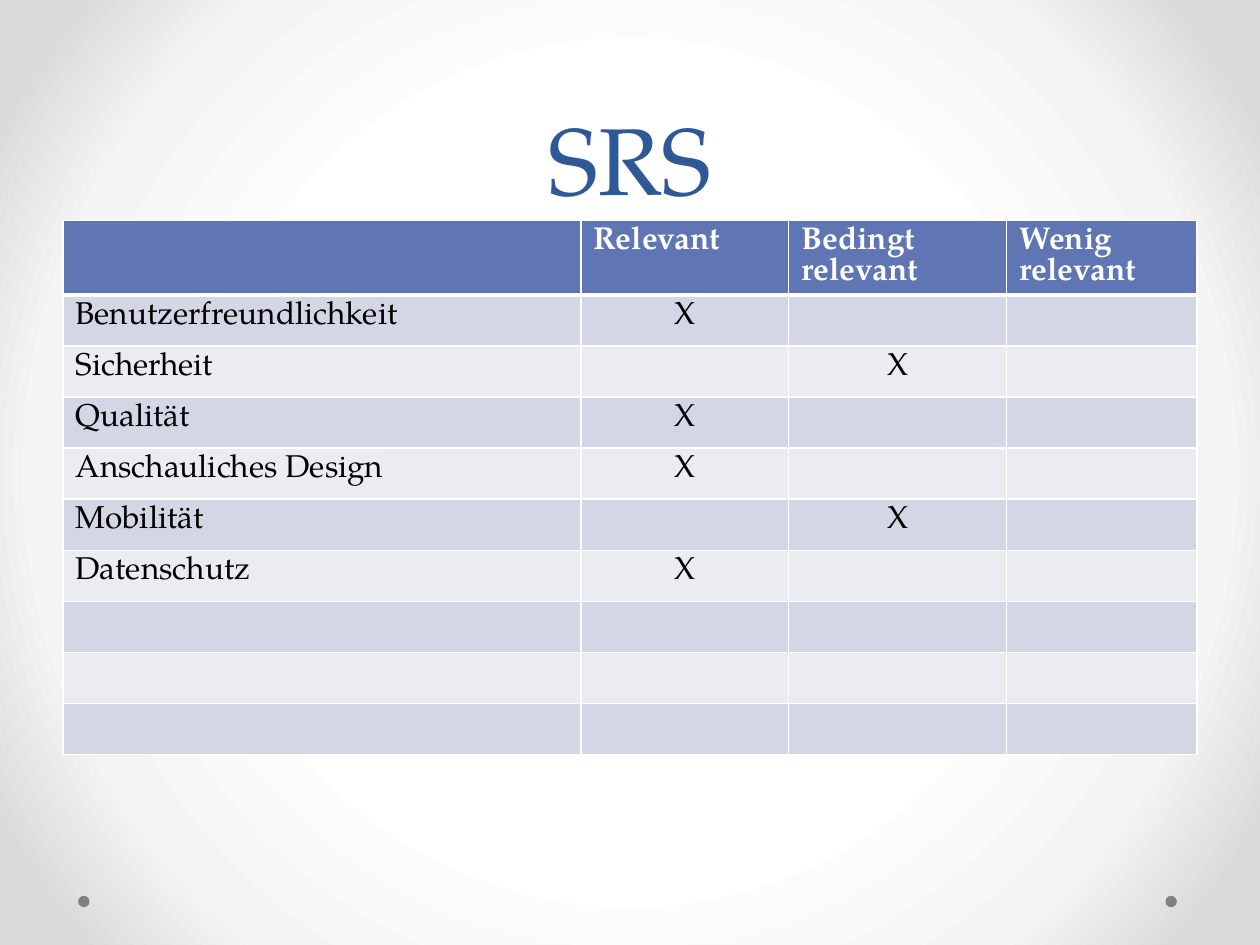
from pptx import Presentation
from pptx.dml.color import RGBColor
from pptx.enum import shapes, text
from pptx.oxml import parse_xml
from pptx.oxml.ns import nsdecls
from pptx.util import Inches, Pt

FONT = "TeX Gyre Pagella"
BLUE = RGBColor(0x2F, 0x58, 0x97)
HEAD = RGBColor(0x60, 0x76, 0xB4)
BANDS = [RGBColor(0xD2, 0xD6, 0xE5), RGBColor(0xEA, 0xEC, 0xF2)]
WHITE = RGBColor(0xFF, 0xFF, 0xFF)
BLACK = RGBColor(0, 0, 0)
GREY = RGBColor(0x80, 0x80, 0x80)

TITLE = "SRS"
ROWS = [
    ("", "Relevant", "Bedingt relevant", "Wenig relevant"),
    ("Benutzerfreundlichkeit", "X", "", ""),
    ("Sicherheit", "", "X", ""),
    ("Qualität", "X", "", ""),
    ("Anschauliches Design", "X", "", ""),
    ("Mobilität", "", "X", ""),
    ("Datenschutz", "X", "", ""),
] + [("", "", "", "")] * 3
COLS = [4.11, 1.65, 1.73, 1.51]
BODY = 3.65
STOPS = [(50, WHITE), (76, RGBColor(0xF4, 0xF4, 0xF4)), (92, RGBColor(0xDA, 0xDA, 0xDA))]
DOTS = [0.62, 9.25]


def add_run(para, words, size, color, bold=False):
    run = para.add_run()
    run.text = words
    run.font.name = FONT
    run.font.size = Pt(size)
    run.font.bold = bold
    run.font.color.rgb = color


def paint_back(slide):
    stops = "".join(
        f'<a:gs pos="{pos * 1000}"><a:srgbClr val="{color}"/></a:gs>' for pos, color in STOPS
    )
    back = parse_xml(
        f'<p:bg {nsdecls("p", "a")}><p:bgPr><a:gradFill rotWithShape="1">'
        f'<a:gsLst>{stops}</a:gsLst><a:path path="circle">'
        '<a:fillToRect l="50000" t="50000" r="50000" b="50000"/></a:path>'
        '</a:gradFill><a:effectLst/></p:bgPr></p:bg>'
    )
    slide._element.cSld.insert(0, back)


def set_edges(cell, widths):
    props = cell._tc.get_or_add_tcPr()
    for i, (side, width) in enumerate(zip("LRTB", widths)):
        line = parse_xml(
            f'<a:ln{side} {nsdecls("a")} w="{Pt(width)}"><a:solidFill>'
            f'<a:srgbClr val="{WHITE}"/></a:solidFill></a:ln{side}>'
        )
        props.insert(i, line)


def add_grid(slide):
    frame = slide.shapes.add_table(
        len(ROWS), len(COLS), Inches(0.5), Inches(1.75), Inches(sum(COLS)), Inches(4.35)
    )
    grid = frame.table
    for col, width in zip(grid.columns, COLS):
        col.width = Inches(width)
    for r, row in enumerate(ROWS):
        grid.rows[r].height = Inches(BODY / (len(ROWS) - 1))
        for c, words in enumerate(row):
            cell = grid.cell(r, c)
            cell.fill.solid()
            cell.fill.fore_color.rgb = BANDS[(r - 1) % 2] if r else HEAD
            set_edges(cell, (1, 1, 3 if r == 1 else 1, 1 if r else 3))
            if words:
                para = cell.text_frame.paragraphs[0]
                if r and c:
                    para.alignment = text.PP_ALIGN.CENTER
                add_run(para, words, 18, BLACK if r else WHITE, r == 0)


def main():
    deck = Presentation()
    deck.slide_width, deck.slide_height = Inches(10), Inches(7.5)
    slide = deck.slides.add_slide(deck.slide_layouts[5])
    paint_back(slide)

    for left in DOTS:
        dot = slide.shapes.add_shape(
            shapes.MSO_SHAPE.OVAL, Inches(left), Inches(7.11), Inches(0.09), Inches(0.09)
        )
        dot.shadow.inherit = False
        dot.fill.solid()
        dot.fill.fore_color.rgb = GREY
        dot.line.fill.background()

    title = slide.shapes.title
    title.left, title.top = Inches(0.5), Inches(0)
    title.width, title.height = Inches(9), Inches(1.75)
    title.text_frame.vertical_anchor = text.MSO_ANCHOR.BOTTOM
    para = title.text_frame.paragraphs[0]
    para.alignment = text.PP_ALIGN.CENTER
    para.line_spacing = Pt(58)
    add_run(para, TITLE, 54, BLUE)

    add_grid(slide)
    deck.save("out.pptx")


if __name__ == "__main__":
    main()
